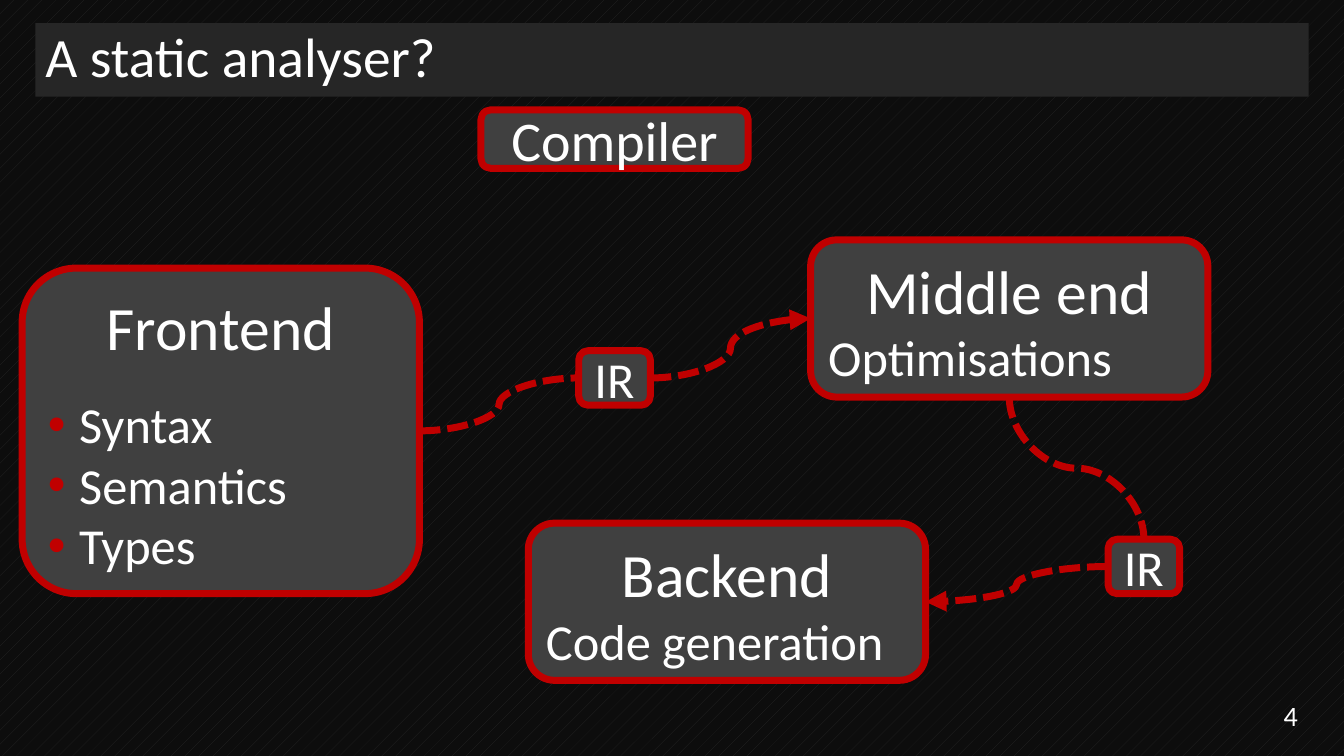
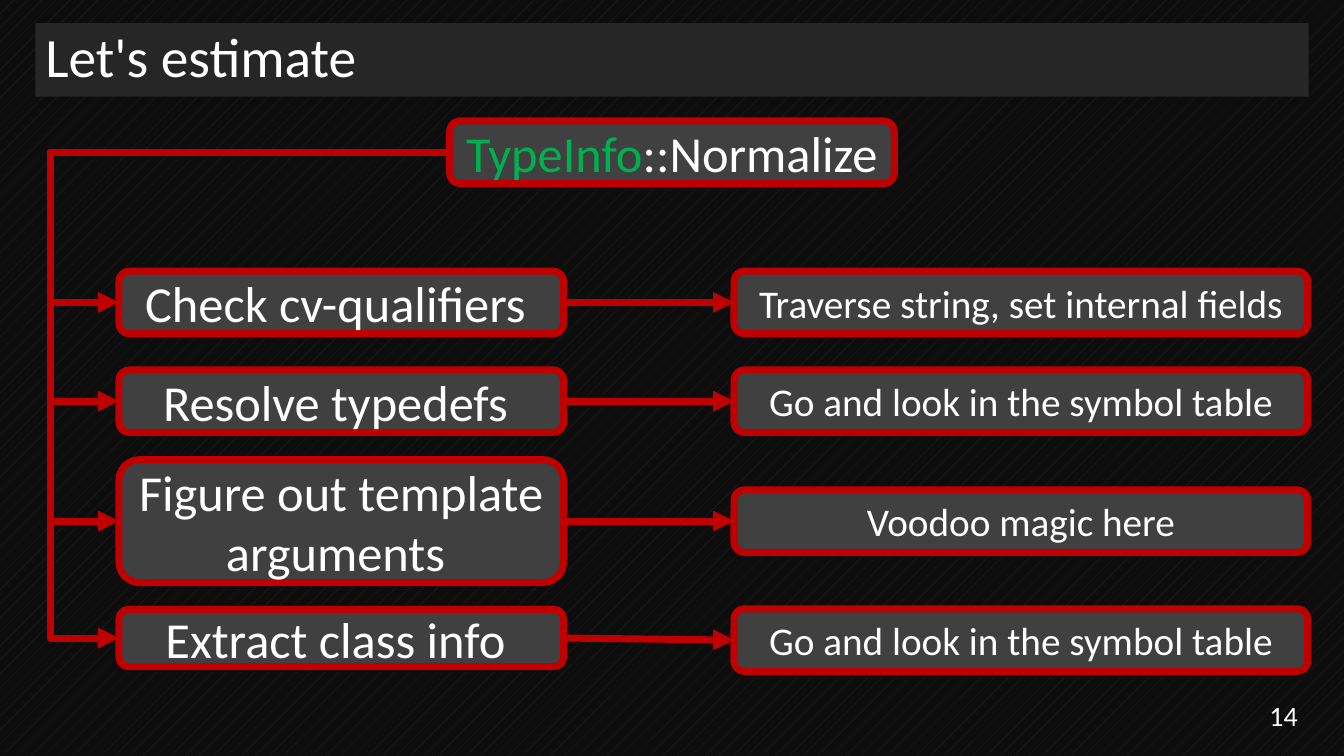
from dataclasses import dataclass

from lxml import etree
from pptx import Presentation
from pptx.dml.color import RGBColor
from pptx.enum.dml import MSO_LINE, MSO_PATTERN
from pptx.enum.shapes import MSO_CONNECTOR, MSO_SHAPE
from pptx.enum.text import MSO_ANCHOR, MSO_AUTO_SIZE, PP_ALIGN
from pptx.oxml.ns import qn
from pptx.util import Inches, Pt

LEFT, CENTER, RIGHT = PP_ALIGN.LEFT, PP_ALIGN.CENTER, PP_ALIGN.RIGHT
TOP, MIDDLE = MSO_ANCHOR.TOP, MSO_ANCHOR.MIDDLE
STRAIGHT, ELBOW, CURVE = MSO_CONNECTOR.STRAIGHT, MSO_CONNECTOR.ELBOW, MSO_CONNECTOR.CURVE
DASH = MSO_LINE.SQUARE_DOT
# Connection sites of a rectangle
S_TOP, S_LEFT, S_BOTTOM, S_RIGHT = range(4)


@dataclass(frozen=True)
class Theme:
    font: str = "Calibri"
    back: str = "0D0D0D"
    band: str = "262626"
    box: str = "404040"
    accent: str = "C00000"
    type_name: str = "00B050"
    text: str = "FFFFFF"
    line: float = 5
    title: float = 39.6
    heading: float = 44
    label: float = 40
    body: float = 36
    note: float = 28
    number: float = 20


T = Theme()

# ---- Content: compiler pipeline ----
BIG, IR = (3.94, 1.56), (0.71, 0.54)
# name: (left, top, (width, height), anchor, [(text, size, alignment, bullet)])
STAGES = {
    "frontend": (0.22, 2.66, (3.94, 3.23), TOP, [
        ("Frontend", T.heading, CENTER, False),
        ("Syntax", T.body, LEFT, True),
        ("Semantics", T.body, LEFT, True),
        ("Types", T.body, LEFT, True)]),
    "compiler": (4.77, 1.09, (2.65, 0.58), MIDDLE, [("Compiler", T.label, CENTER, False)]),
    "first IR": (5.74, 3.48, IR, MIDDLE, [("IR", T.body, CENTER, False)]),
    "middle end": (8.04, 2.38, BIG, TOP, [
        ("Middle end", T.heading, CENTER, False),
        ("Optimisations", T.body, LEFT, False)]),
    "second IR": (10.99, 5.35, IR, MIDDLE, [("IR", T.body, CENTER, False)]),
    "backend": (5.24, 5.19, BIG, TOP, [
        ("Backend", T.heading, CENTER, False),
        ("Code generation", T.body, LEFT, False)]),
}
# (from, site, to, site, arrowhead)
FLOWS = [
    ("frontend", S_RIGHT, "first IR", S_LEFT, False),
    ("first IR", S_RIGHT, "middle end", S_LEFT, True),
    ("middle end", S_BOTTOM, "second IR", S_TOP, False),
    ("second IR", S_LEFT, "backend", S_RIGHT, True),
]

# ---- Content: estimate ----
# (step, centre, height, note, note centre)
STEPS = [
    ("Check cv-qualifiers ", 3.0, 0.62, "Traverse string, set internal fields", 3.0),
    ("Resolve typedefs ", 3.98, 0.62, "Go and look in the symbol table", 3.98),
    ("Figure out template arguments ", 5.17, 1.22, "Voodoo magic here", 5.17),
    ("Extract class info ", 6.33, 0.57, "Go and look in the symbol table", 6.35),
]
ROOT_X, ROOT_Y, TRUNK_X = 4.46, 1.2, 0.5
STEP_X, STEP_W = 1.18, 4.41
NOTE_X, NOTE_W, ROW_H = 7.28, 5.69, 0.62


def rgb(color):
    return RGBColor.from_string(color)


def style_runs(p, size, align, color=T.text):
    p.alignment = align
    for r in p.runs:
        r.font.name, r.font.size = T.font, Pt(size)
        r.font.color.rgb = rgb(color)


def add_bullet(p):
    pPr = p._p.get_or_add_pPr()
    pPr.set("marL", str(Inches(0.31)))
    pPr.set("indent", str(-Inches(0.31)))
    clr = etree.SubElement(pPr, qn("a:buClr"))
    etree.SubElement(clr, qn("a:srgbClr"), val=T.accent)
    etree.SubElement(pPr, qn("a:buFont"), typeface="Arial")
    etree.SubElement(pPr, qn("a:buChar"), char="•")


def add_box(s, x, y, w, h, lines, anchor=MIDDLE):
    sp = s.shapes.add_shape(MSO_SHAPE.ROUNDED_RECTANGLE,
                            Inches(x), Inches(y), Inches(w), Inches(h))
    sp.shadow.inherit = False
    sp.fill.solid()
    sp.fill.fore_color.rgb = rgb(T.box)
    sp.line.color.rgb = rgb(T.accent)
    sp.line.width = Pt(T.line)
    tf = sp.text_frame
    tf.word_wrap, tf.vertical_anchor = True, anchor
    tf.text = "\n".join(line[0] for line in lines)
    after_bullet = False
    for p, (_, size, align, bullet) in zip(tf.paragraphs, lines):
        style_runs(p, size, align)
        if bullet:
            if not after_bullet:
                p.space_before = Pt(22)
            add_bullet(p)
        after_bullet = bullet
    return sp


def site_point(sp, site):
    cx, cy = sp.left + sp.width // 2, sp.top + sp.height // 2
    return [(cx, sp.top), (sp.left, cy),
            (cx, sp.top + sp.height), (sp.left + sp.width, cy)][site]


def connect(s, kind, start, start_site, end, end_site, arrow=True, dash=None, bend=None):
    (x1, y1), (x2, y2) = site_point(start, start_site), site_point(end, end_site)
    upright = kind != STRAIGHT and start_site in (S_TOP, S_BOTTOM)
    if upright:  # a quarter turn makes the curve leave vertically
        cx, cy, dx, dy = (x1 + x2) // 2, (y1 + y2) // 2, x2 - x1, y2 - y1
        x1, y1, x2, y2 = cx + dy // 2, cy - dx // 2, cx - dy // 2, cy + dx // 2
    c = s.shapes.add_connector(kind, x1, y1, x2, y2)
    spPr = c._element.spPr
    if upright:
        spPr.find(qn("a:xfrm")).set("rot", str(270 * 60000))
    if kind == STRAIGHT:
        c.begin_connect(start, start_site)
        c.end_connect(end, end_site)
    if bend is not None:
        av = spPr.find(qn("a:prstGeom")).get_or_add_avLst()
        etree.SubElement(av, qn("a:gd"), name="adj1", fmla=f"val {round(bend * 100000)}")
    c.line.color.rgb = rgb(T.accent)
    c.line.width = Pt(T.line)
    if dash is not None:
        c.line.dash_style = dash
    if arrow:
        etree.SubElement(spPr.find(qn("a:ln")), qn("a:tailEnd"), type="triangle")
    etree.SubElement(spPr, qn("a:effectLst"))


def add_slide(prs, title, number):
    s = prs.slides.add_slide(prs.slide_layouts[5])
    # Title band
    sp = s.shapes.title
    sp.left, sp.top, sp.width, sp.height = map(Inches, (0.35, 0.23, 12.63, 0.73))
    sp.fill.solid()
    sp.fill.fore_color.rgb = rgb(T.band)
    tf = sp.text_frame
    tf.text = title
    tf.auto_size, tf.vertical_anchor = MSO_AUTO_SIZE.NONE, MIDDLE
    tf.paragraphs[0].line_spacing = 0.9
    style_runs(tf.paragraphs[0], T.title, LEFT)
    # Slide number
    sp = s.shapes.add_textbox(*map(Inches, (11.84, 6.9, 1.13, 0.4)))
    tf = sp.text_frame
    tf.text = number
    tf.word_wrap, tf.vertical_anchor = True, MIDDLE
    style_runs(tf.paragraphs[0], T.number, RIGHT)
    return s


def build_pipeline(prs):
    s = add_slide(prs, "A static analyser?", "4")
    boxes = {name: add_box(s, x, y, *size, lines, anchor)
             for name, (x, y, size, anchor, lines) in STAGES.items()}
    for start, start_site, end, end_site, arrow in FLOWS:
        connect(s, CURVE, boxes[start], start_site, boxes[end], end_site, arrow, DASH)


def build_estimate(prs):
    s = add_slide(prs, "Let's estimate", "14")
    # Root call in two colours
    root = add_box(s, ROOT_X, ROOT_Y, STEP_W, ROW_H, [("TypeInfo", T.body, CENTER, False)])
    p = root.text_frame.paragraphs[0]
    p.add_run().text = "::Normalize"
    style_runs(p, T.body, CENTER)
    p.runs[0].font.color.rgb = rgb(T.type_name)
    # Steps hang from one trunk, each with its note
    bend = (ROOT_X - TRUNK_X) / (ROOT_X - STEP_X)
    for step, step_y, h, note, note_y in STEPS:
        left = add_box(s, STEP_X, step_y - h / 2, STEP_W, h,
                       [(step, T.body, CENTER, False)])
        right = add_box(s, NOTE_X, note_y - ROW_H / 2, NOTE_W, ROW_H,
                        [(note, T.note, CENTER, False)])
        connect(s, ELBOW, root, S_LEFT, left, S_LEFT, bend=bend)
        connect(s, STRAIGHT, left, S_RIGHT, right, S_LEFT)


def main():
    prs = Presentation()
    prs.slide_width, prs.slide_height = Inches(13.33), Inches(7.5)
    # Shared background
    fill = prs.slide_master.background.fill
    fill.patterned()
    fill.pattern = MSO_PATTERN.PERCENT_5
    fill.fore_color.rgb = rgb(T.band)
    fill.back_color.rgb = rgb(T.back)
    build_pipeline(prs)
    build_estimate(prs)
    prs.save("out.pptx")


if __name__ == "__main__":
    main()
